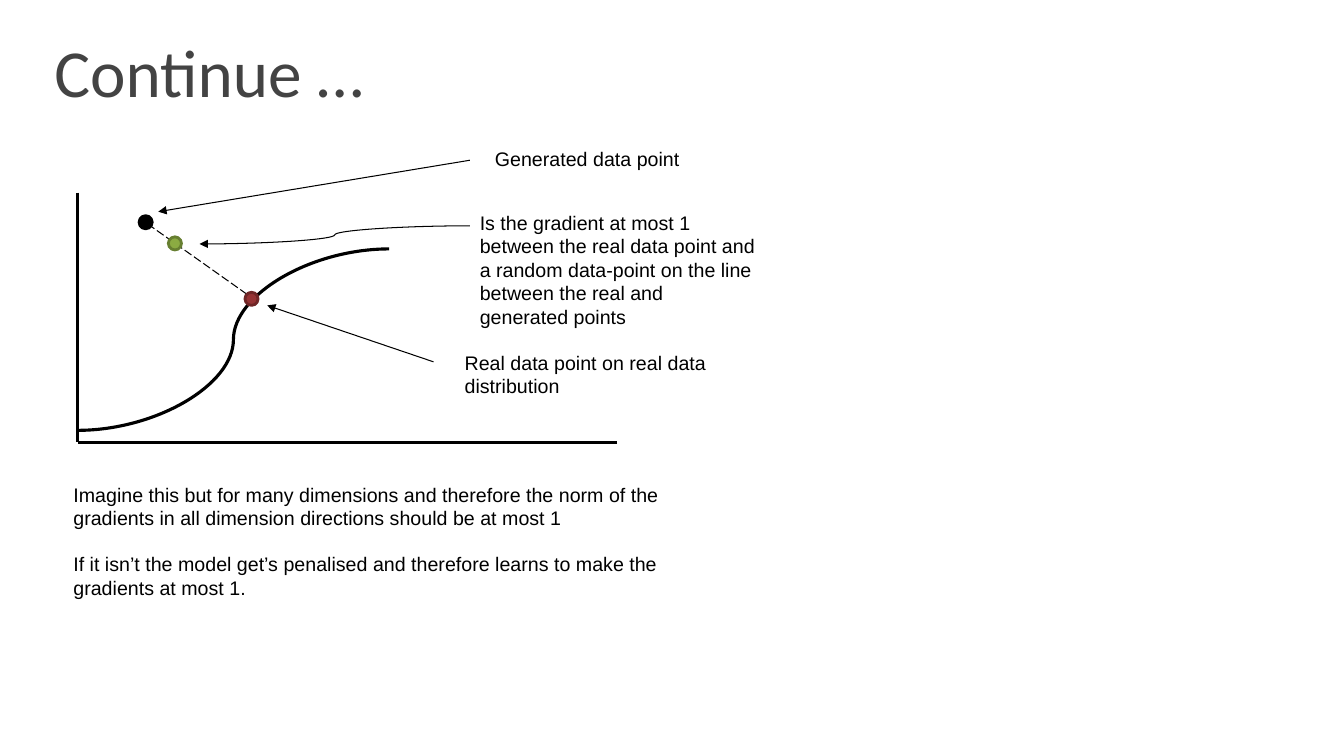
from lxml.etree import SubElement
from pptx import Presentation
from pptx.dml.color import RGBColor
from pptx.enum.dml import MSO_LINE
from pptx.enum.shapes import MSO_CONNECTOR, MSO_SHAPE
from pptx.enum.text import MSO_ANCHOR
from pptx.oxml.ns import qn
from pptx.util import Inches, Pt

WIDTH, HEIGHT = 13.33, 7.5
COLORS = {
    "title": "434343", "ink": "000000",
    "real": "963334", "real_edge": "6F2626",
    "sample": "8BAB42", "sample_edge": "677F31",
}
AXIS_WIDTH, THIN_WIDTH = 2.25, 0.75
DOT_SIZE = 0.13
INSET, TITLE_INSET = 0.05, 0.1
BODY_SIZE, TITLE_SIZE = 14, 48

TITLE = ("Continue …", (0.44, 0.28, 8.61, 0.92))
# paragraphs, (left, top, width, height)
NOTES = [
    (["Real data point on real data distribution"], (4.51, 3.43, 2.81, 0.57)),
    (["Generated data point"], (4.81, 1.41, 2.81, 0.34)),
    (["Is the gradient at most 1 between the real data point and a random "
      "data-point on the line between the real and generated points"],
     (4.66, 2.04, 2.95, 1.28)),
    (["Imagine this but for many dimensions and therefore the norm of the "
      "gradients in all dimension directions should be at most 1",
      "If it isn’t the model get’s penalised and therefore learns to make the "
      "gradients at most 1."],
     (0.63, 4.74, 6.47, 1.28)),
]

ORIGIN = (0.77, 4.39)
STRAIGHT, CURVE = MSO_CONNECTOR.STRAIGHT, MSO_CONNECTOR.CURVE
# kind, start, end
AXES = [
    (STRAIGHT, (ORIGIN[0], 1.91), ORIGIN),
    (STRAIGHT, (6.12, ORIGIN[1]), ORIGIN),
    (CURVE, (ORIGIN[0], 4.27), (3.86, 2.47)),
]
INTERPOLATION = (STRAIGHT, (2.45, 2.92), (1.49, 2.24))
POINTERS = [
    (STRAIGHT, (4.3, 3.59), (2.65, 3.03)),
    (STRAIGHT, (4.66, 1.59), (1.57, 2.1)),
    (CURVE, (4.66, 2.24), (1.98, 2.42)),
]
# left, top, fill, edge
DOTS = [
    (2.43, 2.9, "real", "real_edge"),
    (1.38, 2.14, "ink", "ink"),
    (1.67, 2.35, "sample", "sample_edge"),
]


def color(name):
    return RGBColor.from_string(COLORS[name])


def add_text(page, paragraphs, area, font, size, ink, side, edge, anchor):
    box = page.shapes.add_textbox(*map(Inches, area))
    frame = box.text_frame
    frame.word_wrap = True
    frame.vertical_anchor = anchor
    frame.margin_left = frame.margin_right = Inches(side)
    frame.margin_top = frame.margin_bottom = Inches(edge)
    for index, text in enumerate(paragraphs):
        para = frame.paragraphs[0] if index == 0 else frame.add_paragraph()
        if index:
            para.space_before = Pt(size * 1.15)
        span = para.add_run()
        span.text = text
        span.font.name = font
        span.font.size = Pt(size)
        span.font.color.rgb = color(ink)


def add_line(page, kind, start, end, width, dash=None, arrow=False):
    line = page.shapes.add_connector(kind, *map(Inches, start + end))
    line.line.color.rgb = color("ink")
    line.line.width = Pt(width)
    if dash:
        line.line.dash_style = dash
    properties = line._element.spPr
    if arrow:
        SubElement(properties.find(qn("a:ln")), qn("a:tailEnd"), type="triangle")
    SubElement(properties, qn("a:effectLst"))


def add_dot(page, left, top, fill, edge):
    dot = page.shapes.add_shape(
        MSO_SHAPE.OVAL, *map(Inches, (left, top, DOT_SIZE, DOT_SIZE)))
    dot.shadow.inherit = False
    dot.fill.solid()
    dot.fill.fore_color.rgb = color(fill)
    dot.line.color.rgb = color(edge)
    dot.line.width = Pt(2)


def main():
    deck = Presentation()
    deck.slide_width, deck.slide_height = Inches(WIDTH), Inches(HEIGHT)
    page = deck.slides.add_slide(deck.slide_layouts[6])

    title, area = TITLE
    add_text(page, [title], area, "Calibri", TITLE_SIZE, "title",
             TITLE_INSET, TITLE_INSET, MSO_ANCHOR.BOTTOM)
    for axis in AXES:
        add_line(page, *axis, AXIS_WIDTH)
    add_line(page, *INTERPOLATION, THIN_WIDTH, dash=MSO_LINE.LONG_DASH)
    for dot in DOTS:
        add_dot(page, *dot)
    for pointer in POINTERS:
        add_line(page, *pointer, THIN_WIDTH, arrow=True)
    for paragraphs, area in NOTES:
        add_text(page, paragraphs, area, "Arial", BODY_SIZE, "ink",
                 2 * INSET, INSET, MSO_ANCHOR.TOP)
    deck.save("out.pptx")


if __name__ == "__main__":
    main()
